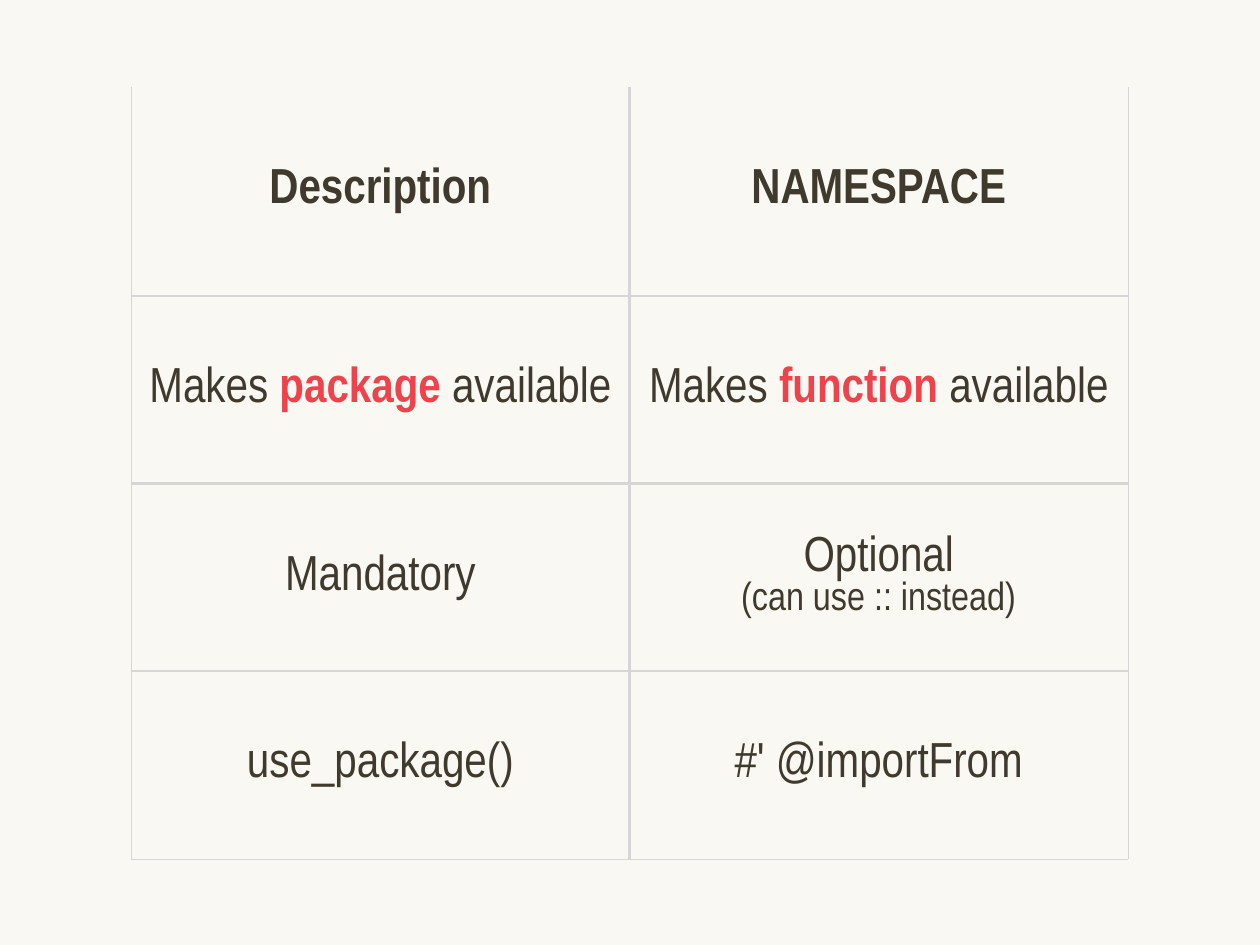
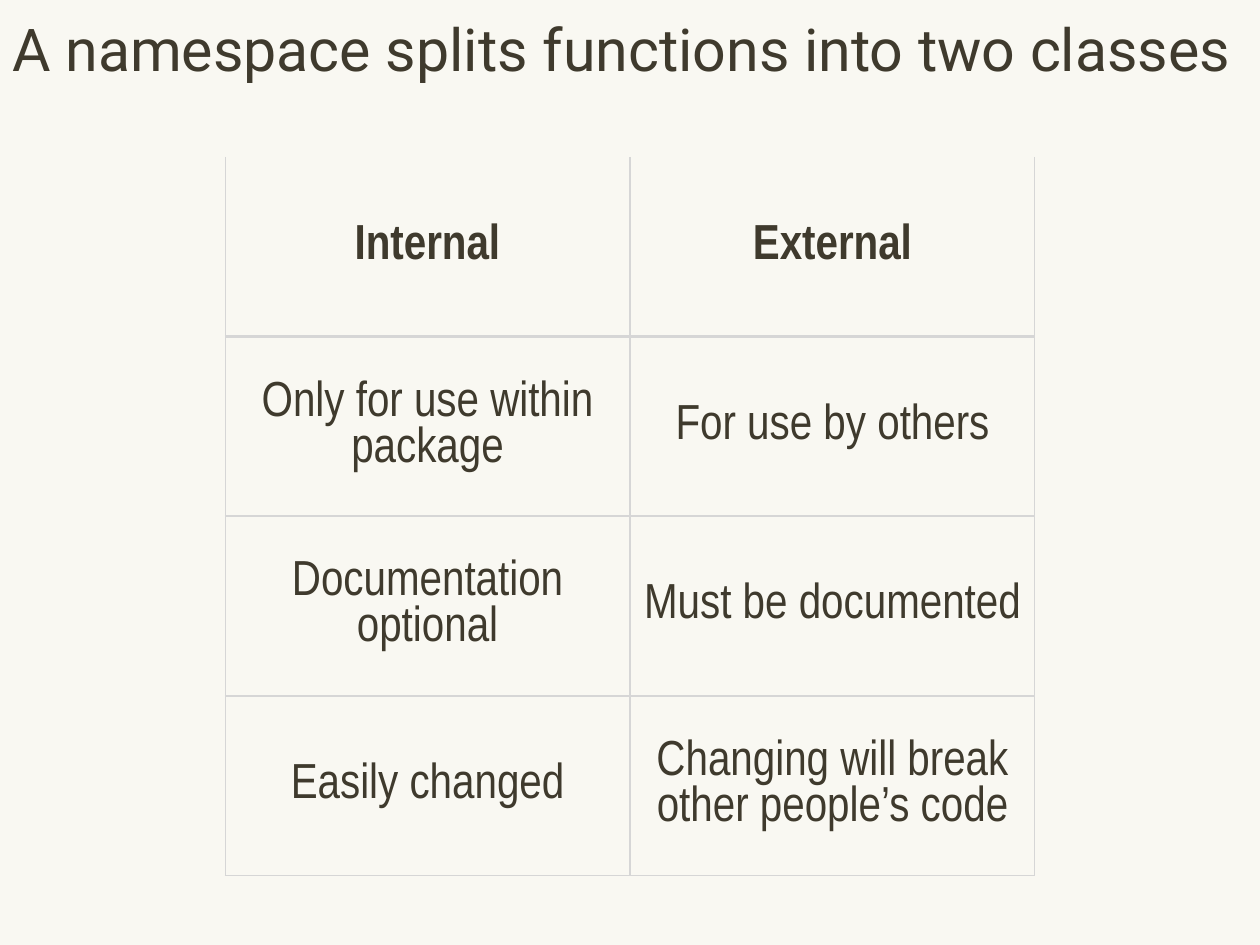
from lxml import etree
from pptx import Presentation
from pptx.dml.color import RGBColor
from pptx.enum import text
from pptx.oxml import ns
from pptx.util import Inches, Pt

CREAM = RGBColor(0xF9, 0xF8, 0xF2)
INK = RGBColor(0x3F, 0x3A, 0x2D)
RED = RGBColor(0xEE, 0x43, 0x4D)
RULE = RGBColor(0xD6, 0xD6, 0xD6)

TITLE_FONT = "Roboto"
TABLE_FONT = "Arial Narrow"
SLIDE_WIDTH, SLIDE_HEIGHT = 14.22, 10.67
INNER_RULE, OUTER_RULE = 2, 0.75
TITLE_ONLY, BLANK = 5, 6


def add_run(paragraph, wording, size, font, color=INK, bold=False):
    run = paragraph.add_run()
    run.text = wording
    run.font.size = Pt(size)
    run.font.name = font
    run.font.color.rgb = color
    run.font.bold = bold


def add_title(slide, wording):
    title = slide.shapes.title
    title.left, title.top = Inches(0), Inches(0)
    title.width, title.height = Inches(SLIDE_WIDTH), Inches(1.08)
    frame = title.text_frame
    frame.word_wrap = True
    frame.auto_size = text.MSO_AUTO_SIZE.NONE
    frame.vertical_anchor = text.MSO_ANCHOR.MIDDLE
    frame.margin_left = frame.margin_right = Inches(0.14)
    frame.margin_top = frame.margin_bottom = Inches(0.14)
    paragraph = frame.paragraphs[0]
    paragraph.alignment = text.PP_ALIGN.LEFT
    paragraph.space_before = Pt(6)
    add_run(paragraph, wording, 48, TITLE_FONT)


def set_border(cell, side, width):
    properties = cell._tc.get_or_add_tcPr()
    line = etree.SubElement(properties, ns.qn(f"a:ln{side}"), w=str(Pt(width)))
    if width:
        fill = etree.SubElement(line, ns.qn("a:solidFill"))
        etree.SubElement(fill, ns.qn("a:srgbClr"), val=str(RULE))
    else:
        etree.SubElement(line, ns.qn("a:noFill"))


def fill_cell(cell, lines, bold):
    cell.fill.solid()
    cell.fill.fore_color.rgb = CREAM
    cell.vertical_anchor = text.MSO_ANCHOR.MIDDLE
    cell.margin_left = cell.margin_right = Inches(0.04)
    cell.margin_top = cell.margin_bottom = Inches(0.04)
    paragraph = cell.text_frame.paragraphs[0]
    paragraph.alignment = text.PP_ALIGN.CENTER
    paragraph.space_before = Pt(24)
    for number, (size, parts) in enumerate(lines):
        if number:
            paragraph.add_line_break()
        for wording, color in parts:
            add_run(paragraph, wording, size, TABLE_FONT, color, bold or color == RED)


def plain(wording, size=40):
    return size, [(wording, INK)]


def highlighted(before, keyword, after):
    return 40, [(before, INK), (keyword, RED), (after, INK)]


def add_comparison(slide, left, top, width, row_heights, rows):
    column_count = len(rows[0])
    table = slide.shapes.add_table(
        len(rows), column_count, Inches(left), Inches(top),
        Inches(width), Inches(sum(row_heights))).table
    table.first_row = table.horz_banding = False
    for column in table.columns:
        column.width = Inches(width / column_count)
    for r, (height, row) in enumerate(zip(row_heights, rows)):
        table.rows[r].height = Inches(height)
        for c, lines in enumerate(row):
            cell = table.cell(r, c)
            set_border(cell, "L", INNER_RULE if c else OUTER_RULE)
            set_border(cell, "R", INNER_RULE if c < column_count - 1 else OUTER_RULE)
            set_border(cell, "T", INNER_RULE if r else 0)
            set_border(cell, "B", INNER_RULE if r < len(rows) - 1 else OUTER_RULE)
            fill_cell(cell, lines, bold=r == 0)


def build_imports_slide(presentation):
    slide = presentation.slides.add_slide(presentation.slide_layouts[BLANK])
    add_comparison(slide, 1.48, 0.98, 11.25, [2.36] + [2.12] * 3, [
        [[plain("Description")], [plain("NAMESPACE")]],
        [[highlighted("Makes ", "package", " available")],
         [highlighted("Makes ", "function", " available")]],
        [[plain("Mandatory")],
         [plain("Optional"), plain("(can use :: instead)", 32)]],
        [[plain("use_package()")], [plain("#' @importFrom")]],
    ])


def build_classes_slide(presentation):
    slide = presentation.slides.add_slide(presentation.slide_layouts[TITLE_ONLY])
    add_title(slide, "A namespace splits functions into two classes")
    wordings = [
        ("Internal", "External"),
        ("Only for use within package", "For use by others"),
        ("Documentation optional", "Must be documented"),
        ("Easily changed", "Changing will break other people’s code"),
    ]
    rows = [[[plain(wording)] for wording in row] for row in wordings]
    add_comparison(slide, 2.54, 1.77, 9.14, [2.03] * 4, rows)


def main():
    presentation = Presentation()
    presentation.slide_width = Inches(SLIDE_WIDTH)
    presentation.slide_height = Inches(SLIDE_HEIGHT)
    background = presentation.slide_master.background.fill
    background.solid()
    background.fore_color.rgb = CREAM
    build_imports_slide(presentation)
    build_classes_slide(presentation)
    presentation.save("out.pptx")


if __name__ == "__main__":
    main()
